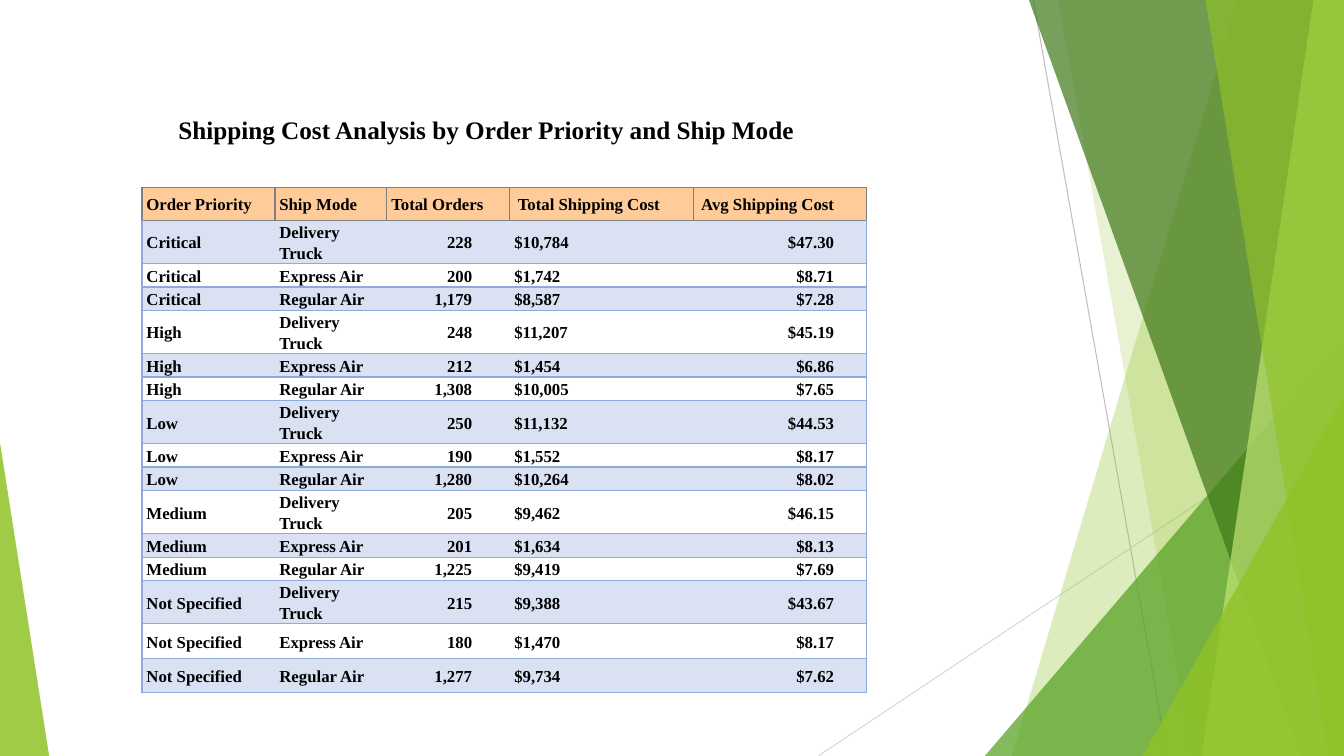
from dataclasses import dataclass

from lxml.etree import SubElement
from pptx import Presentation
from pptx.dml.color import RGBColor
from pptx.enum.shapes import MSO_CONNECTOR, MSO_SHAPE
from pptx.enum.text import MSO_ANCHOR, MSO_AUTO_SIZE, PP_ALIGN
from pptx.oxml.ns import qn
from pptx.util import Cm, Pt


@dataclass(frozen=True)
class Theme:
    font: str = "Times New Roman"
    title_size: int = 18
    table_size: int = 12
    text: str = "000000"
    header_fill: str = "FFCC99"
    header_border: str = "7F7F7F"
    band_fill: str = "D9E1F2"
    border: str = "8EA9DB"
    lime: str = "90C226"
    green: str = "54A021"
    forest: str = "3F7819"
    pale_lime: str = "C0E474"
    ray_dark: str = "BFBFBF"
    ray_light: str = "D9D9D9"


theme = Theme()


def paint_facet(facet, color, opacity):
    """Fill a decorative facet with a colour at the given opacity in percent."""
    facet.shadow.inherit = False
    facet.fill.solid()
    facet.fill.fore_color.rgb = RGBColor.from_string(color)
    facet.line.fill.background()
    color_node = facet._element.spPr.find(f".//{qn('a:srgbClr')}")
    SubElement(color_node, qn("a:alpha"), val=str(opacity * 1000))


def format_paragraph(paragraph, size):
    paragraph.alignment = PP_ALIGN.JUSTIFY
    paragraph.line_spacing = 1.15
    paragraph.space_after = Pt(8)
    paragraph.font.name = theme.font
    paragraph.font.size = Pt(size)
    paragraph.font.bold = True
    paragraph.font.color.rgb = RGBColor.from_string(theme.text)


prs = Presentation()
prs.slide_width, prs.slide_height = Cm(33.87), Cm(19.05)
slide = prs.slides.add_slide(prs.slide_layouts[5])
shapes = slide.shapes

# Decorative rays and facets
for x1, y1, x2, y2, color in [
    (26.04, 0, 29.42, 19.05, theme.ray_dark),
    (33.87, 10.23, 20.62, 19.05, theme.ray_light),
]:
    ray = shapes.add_connector(MSO_CONNECTOR.STRAIGHT, Cm(x1), Cm(y1), Cm(x2), Cm(y2))
    ray.line.color.rgb = RGBColor.from_string(color)
    ray.line.width = Pt(0.75)
    SubElement(ray._element.spPr, qn("a:effectLst"))

# Facets reach the right edge: (top-left x, bottom-left x, colour, opacity);
# triangles: (left, top, width, height, apex, colour, opacity)
for facet_data in [
    (31.19, 25.5, theme.lime, 30),
    (26.67, 30.05, theme.lime, 20),
    (24.82, 8.46, 9.05, 10.59, 1, theme.green, 72),
    (25.93, 32.79, theme.forest, 70),
    (33.1, 30.28, theme.pale_lime, 70),
    (30.38, 33.48, theme.lime, 65),
    (28.8, 9.98, 5.07, 9.07, 1, theme.lime, 80),
    (0, 11.15, 1.24, 7.9, 0, theme.lime, 85),
]:
    *geometry, color, opacity = facet_data
    if len(geometry) == 2:
        top_x, bottom_x = geometry
        outline = shapes.build_freeform(Cm(top_x), Cm(0))
        outline.add_line_segments(
            [(Cm(33.87), Cm(0)), (Cm(33.87), Cm(19.05)), (Cm(bottom_x), Cm(19.05))]
        )
        facet = outline.convert_to_shape()
    else:
        *box, apex = geometry
        facet = shapes.add_shape(MSO_SHAPE.ISOSCELES_TRIANGLE, *map(Cm, box))
        facet.adjustments[0] = apex
    paint_facet(facet, color, opacity)

# Title
title = shapes.title
title.left, title.top, title.width, title.height = Cm(4.24), Cm(2.64), Cm(16.92), Cm(2.26)
title.text_frame.text = "Shipping Cost Analysis by Order Priority and Ship Mode"
title.text_frame.word_wrap = True
title.text_frame.auto_size = MSO_AUTO_SIZE.NONE
title.text_frame.vertical_anchor = MSO_ANCHOR.TOP
format_paragraph(title.text_frame.paragraphs[0], theme.title_size)

# Table content: per priority, one line for each ship mode
headers = ["Order Priority", "Ship Mode", "Total Orders", "Total Shipping Cost", "Avg Shipping Cost"]
ship_modes = ["Delivery Truck", "Express Air", "Regular Air"]
shipping = {
    "Critical": [("228", "$10,784", "$47.30"), ("200", "$1,742", "$8.71"), ("1,179", "$8,587", "$7.28")],
    "High": [("248", "$11,207", "$45.19"), ("212", "$1,454", "$6.86"), ("1,308", "$10,005", "$7.65")],
    "Low": [("250", "$11,132", "$44.53"), ("190", "$1,552", "$8.17"), ("1,280", "$10,264", "$8.02")],
    "Medium": [("205", "$9,462", "$46.15"), ("201", "$1,634", "$8.13"), ("1,225", "$9,419", "$7.69")],
    "Not Specified": [("215", "$9,388", "$43.67"), ("180", "$1,470", "$8.17"), ("1,277", "$9,734", "$7.62")],
}
rows = [headers] + [
    [priority, mode, *figures]
    for priority, lines in shipping.items()
    for mode, figures in zip(ship_modes, lines)
]
column_widths = [3.35, 2.82, 3.1, 4.62, 4.37]
row_heights = [0.83] + [1.09, 0.59, 0.59] * 4 + [1.09, 0.87, 0.87]
figure_indents = {2: 0.95, 4: 0.82}
last_column = len(headers) - 1

cost_table = shapes.add_table(
    len(rows), len(headers), Cm(3.58), Cm(4.72), Cm(sum(column_widths)), Cm(sum(row_heights))
).table
cost_table.first_row = False
cost_table.horz_banding = False
for column, width in zip(cost_table.columns, column_widths):
    column.width = Cm(width)
for row, height in zip(cost_table.rows, row_heights):
    row.height = Cm(height)

for r, values in enumerate(rows):
    is_header = r == 0
    for c, value in enumerate(values):
        cell = cost_table.cell(r, c)
        cell.text = value
        cell.vertical_anchor = MSO_ANCHOR.MIDDLE
        cell.margin_left = cell.margin_right = Cm(0.11)
        cell.margin_top = cell.margin_bottom = 0
        paragraph = cell.text_frame.paragraphs[0]
        format_paragraph(paragraph, theme.table_size)
        if is_header and c >= 3:
            cell.margin_left = Cm(0.2)
        elif not is_header and c in figure_indents:
            paragraph.alignment = PP_ALIGN.RIGHT
            cell.margin_right = Cm(figure_indents[c])

        if is_header or r % 2:
            cell.fill.solid()
            cell.fill.fore_color.rgb = RGBColor.from_string(
                theme.header_fill if is_header else theme.band_fill
            )
        else:
            cell.fill.background()

        side_color = theme.header_border if is_header else theme.border
        borders = {
            "a:lnL": side_color if is_header or c == 0 else None,
            "a:lnR": side_color if is_header or c == last_column else None,
            "a:lnT": theme.header_border if r <= 1 else theme.border,
            "a:lnB": side_color,
        }
        cell_properties = cell._tc.get_or_add_tcPr()
        for position, (edge, color) in enumerate(borders.items()):
            border = SubElement(cell_properties, qn(edge), w=str(Pt(1)))
            cell_properties.insert(position, border)
            if color:
                SubElement(SubElement(border, qn("a:solidFill")), qn("a:srgbClr"), val=color)
            else:
                SubElement(border, qn("a:noFill"))

prs.save("out.pptx")
